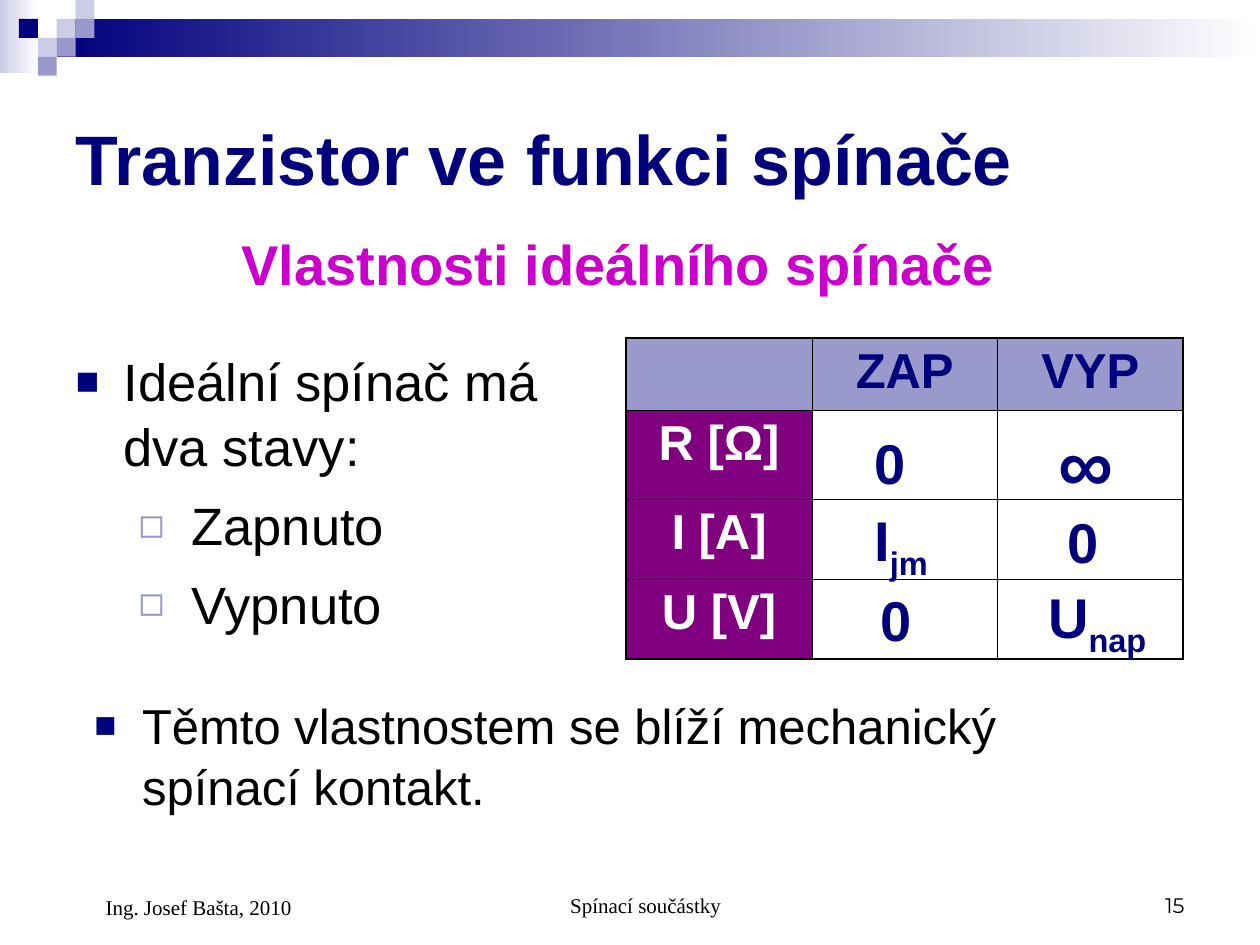
from pptx import Presentation
from pptx.dml.color import RGBColor
from pptx.enum.shapes import MSO_SHAPE
from pptx.enum.text import MSO_ANCHOR, MSO_AUTO_SIZE, PP_ALIGN
from pptx.oxml.ns import qn
from pptx.util import Inches, Pt
from lxml import etree

RECTANGLE = MSO_SHAPE.RECTANGLE
TOP, MIDDLE, BOTTOM = MSO_ANCHOR.TOP, MSO_ANCHOR.MIDDLE, MSO_ANCHOR.BOTTOM
LEFT, CENTER, RIGHT = PP_ALIGN.LEFT, PP_ALIGN.CENTER, PP_ALIGN.RIGHT
NO_FIT = MSO_AUTO_SIZE.NONE

NAVY = RGBColor(0x00, 0x00, 0x7D)
LAVENDER = RGBColor(0x99, 0x99, 0xCC)
PALE = RGBColor(0xCC, 0xCC, 0xE6)
PURPLE = RGBColor(0x80, 0x00, 0x80)
MAGENTA = RGBColor(0xCC, 0x00, 0xCC)
BLACK = RGBColor(0x00, 0x00, 0x00)
WHITE = RGBColor(0xFF, 0xFF, 0xFF)

COLUMNS, ROWS = 100, 75
CELL = Inches(0.1)
SQUARE = 1.5
THICK, THIN = Pt(1.08), Pt(0.45)

SQUARES = [(3, 1, PALE), (4, 0, PALE), (4, 1, LAVENDER), (2, 2, PALE),
           (1, 1, NAVY), (3, 2, LAVENDER), (2, 3, LAVENDER)]
TITLE_FONT = {"name": "Arial", "size": Pt(40), "bold": True}
SUBTITLE_FONT = {"name": "Arial", "size": Pt(32), "bold": True}
TABLE_FONT = {"name": "Arial", "size": Pt(28), "bold": True}
LIST_FONT = {"name": "Arial", "size": Pt(30), "bold": False}
NOTE_FONT = {"name": "Arial", "size": Pt(28), "bold": False}
INFINITY_FONT = {"name": "Arial", "size": Pt(44), "bold": True}
FOOTER_FONT = {"name": "Times New Roman", "size": Pt(12)}
NUMBER_FONT = {"name": "Montserrat", "size": Pt(12)}

LEVELS = [
    {"char": "■", "color": NAVY, "size": 75, "margin": 0.38, "hang": 0.38},
    {"char": "◻", "color": LAVENDER, "size": 80, "margin": 0.92, "hang": 0.42},
]
LIST_ITEMS = [("Ideální spínač má dva stavy:", 0), ("Zapnuto", 1), ("Vypnuto", 1)]
TABLE_TEXT = [["", "ZAP", "VYP"], ["R [Ω]", "", ""], ["I [A]", "", ""], ["U [V]", "", ""]]
ROW_HEIGHTS = [5.75, 7.05, 6.35, 6.35]
VALUES = [
    ("0", "", (68.4, 33.5, 5.2, 6.4), SUBTITLE_FONT),
    ("∞", "", (83, 32.5, 7.7, 8.4), INFINITY_FONT),
    ("I", "jm", (68.4, 39.6, 10.6, 7.1), SUBTITLE_FONT),
    ("0", "", (83.7, 39.8, 5.2, 6.4), SUBTITLE_FONT),
    ("0", "", (68.9, 46, 5.2, 6.4), SUBTITLE_FONT),
    ("U", "nap", (82.2, 45.7, 12.2, 7.1), SUBTITLE_FONT),
]
FOOTERS = [
    ("Spínací součástky", (34.2, 68.3, 31.7, 5), FOOTER_FONT, CENTER, 0.24),
    ("15", (71.7, 68.3, 23.3, 5), NUMBER_FONT, RIGHT, 0),
    ("Ing. Josef Bašta, 2010", (5, 68.3, 23.3, 5.2), FOOTER_FONT, LEFT, 0.24),
]


def grid(*counts):
    """Turn counts of grid columns and rows into lengths."""
    return [int(count * CELL) for count in counts]


def format_font(font, values, color):
    """Apply a dict of font values and a colour."""
    for name, value in values.items():
        setattr(font, name, value)
    font.color.rgb = color


def place(shape, area):
    """Move a shape to an area of the grid."""
    for name, value in zip(("left", "top", "width", "height"), grid(*area)):
        setattr(shape, name, value)


def prepare_frame(shape, anchor):
    """Set wrapping and anchoring of a text frame and return it."""
    frame = shape.text_frame
    for name, value in {"word_wrap": True, "auto_size": NO_FIT, "vertical_anchor": anchor}.items():
        setattr(frame, name, value)
    return frame


def set_margins(paragraph, margin, hang=0):
    """Set the left margin and hanging indent in inches."""
    properties = paragraph._p.get_or_add_pPr()
    properties.set("marL", str(Inches(margin)))
    properties.set("indent", str(-Inches(hang)))
    return properties


def add_bullet(paragraph, level):
    """Give a paragraph the bullet and indent of its level."""
    style = LEVELS[level]
    properties = set_margins(paragraph, style["margin"], style["hang"])
    color = etree.SubElement(properties, qn("a:buClr"))
    etree.SubElement(color, qn("a:srgbClr"), val=str(style["color"]))
    etree.SubElement(properties, qn("a:buSzPct"), val=str(style["size"] * 1000))
    etree.SubElement(properties, qn("a:buFont"), typeface="Arial")
    etree.SubElement(properties, qn("a:buChar"), char=style["char"])


def add_rectangle(slide, area, color, fade=False):
    """Add a borderless rectangle, optionally fading to white on the right."""
    shape = slide.shapes.add_shape(RECTANGLE, *grid(*area))
    shape.shadow.inherit = False
    shape.line.fill.background()
    if fade:
        shape.fill.gradient()
        shape.fill.gradient_angle = 180
        for stop, stop_color in zip(shape.fill.gradient_stops, (WHITE, color)):
            stop.color.rgb = stop_color
    else:
        shape.fill.solid()
        shape.fill.fore_color.rgb = color


def add_header_band(slide):
    """Draw the fading bands and the squares at the top."""
    add_rectangle(slide, (0, 0, 3.1, 5.8), PALE, fade=True)
    add_rectangle(slide, (3 * SQUARE, SQUARE, COLUMNS - 3 * SQUARE, 2 * SQUARE), NAVY, fade=True)
    for column, row, color in SQUARES:
        add_rectangle(slide, (column * SQUARE, row * SQUARE, SQUARE, SQUARE), color)


def add_label(slide, text, area, font, color, align=LEFT, anchor=TOP, margin=0, subscript=""):
    """Add a one-paragraph text box with an optional subscript."""
    frame = prepare_frame(slide.shapes.add_textbox(*grid(*area)), anchor)
    paragraph = frame.paragraphs[0]
    paragraph.alignment = align
    set_margins(paragraph, margin)
    for part in filter(None, (text, subscript)):
        run = paragraph.add_run()
        run.text = part
        format_font(run.font, font, color)
    if subscript:
        run._r.get_or_add_rPr().set("baseline", "-25000")


def fill_list(shape, items, font):
    """Write bulleted items into a shape."""
    frame = prepare_frame(shape, TOP)
    for index, (text, level) in enumerate(items):
        paragraph = frame.add_paragraph() if index else frame.paragraphs[0]
        paragraph.text = text
        paragraph.level = level
        add_bullet(paragraph, level)
        paragraph.line_spacing = 1.04
        paragraph.space_before = Pt(7.5 if index else 0)
        format_font(paragraph.font, font, BLACK)


def set_borders(cell, widths):
    """Draw black borders on the left, right, top and bottom of a cell."""
    properties = cell._tc.get_or_add_tcPr()
    for side, width in zip("LRTB", widths):
        line = etree.SubElement(properties, qn(f"a:ln{side}"), w=str(int(width)))
        fill = etree.SubElement(line, qn("a:solidFill"))
        etree.SubElement(fill, qn("a:srgbClr"), val=str(BLACK))


def add_state_table(slide):
    """Add the table of switch states with thick outer borders."""
    last_row, last_column = len(TABLE_TEXT) - 1, len(TABLE_TEXT[0]) - 1
    area = grid(49.7, 26.8, 44.2, sum(ROW_HEIGHTS))
    table = slide.shapes.add_table(last_row + 1, last_column + 1, *area).table
    table.first_row = table.horz_banding = False
    for row, height in enumerate(ROW_HEIGHTS):
        table.rows[row].height = grid(height)[0]
        for column, text in enumerate(TABLE_TEXT[row]):
            cell = table.cell(row, column)
            edges = (column == 0, column == last_column, row == 0, row == last_row)
            set_borders(cell, [THICK if edge else THIN for edge in edges])
            if row and column:
                cell.fill.background()
            else:
                cell.fill.solid()
                cell.fill.fore_color.rgb = PURPLE if row else LAVENDER
            paragraph = cell.text_frame.paragraphs[0]
            paragraph.text = text
            paragraph.alignment = CENTER
            format_font(paragraph.font, TABLE_FONT, WHITE if row else NAVY)


def main():
    """Build the slide and save it."""
    presentation = Presentation()
    presentation.slide_width, presentation.slide_height = grid(COLUMNS, ROWS)
    slide = presentation.slides.add_slide(presentation.slide_layouts[1])
    add_header_band(slide)

    title, body = slide.placeholders
    place(title, (5, 5, 90, 15))
    paragraph = prepare_frame(title, MIDDLE).paragraphs[0]
    paragraph.text = "Tranzistor ve funkci spínače"
    paragraph.alignment = LEFT
    format_font(paragraph.font, TITLE_FONT, NAVY)
    place(body, (5, 27, 43.3, 23.5))
    fill_list(body, LIST_ITEMS, LIST_FONT)

    add_state_table(slide)
    add_label(slide, "Vlastnosti ideálního spínače", (4.2, 17.7, 89.8, 7),
              SUBTITLE_FONT, MAGENTA, CENTER)
    note = slide.shapes.add_textbox(*grid(6.5, 54.5, 83.7, 11))
    fill_list(note, [("Těmto vlastnostem se blíží mechanický spínací kontakt.", 0)], NOTE_FONT)
    for text, subscript, area, font in VALUES:
        add_label(slide, text, area, font, NAVY, subscript=subscript)
    for text, area, font, align, margin in FOOTERS:
        add_label(slide, text, area, font, BLACK, align, BOTTOM, margin)
    presentation.save("out.pptx")


if __name__ == "__main__":
    main()
